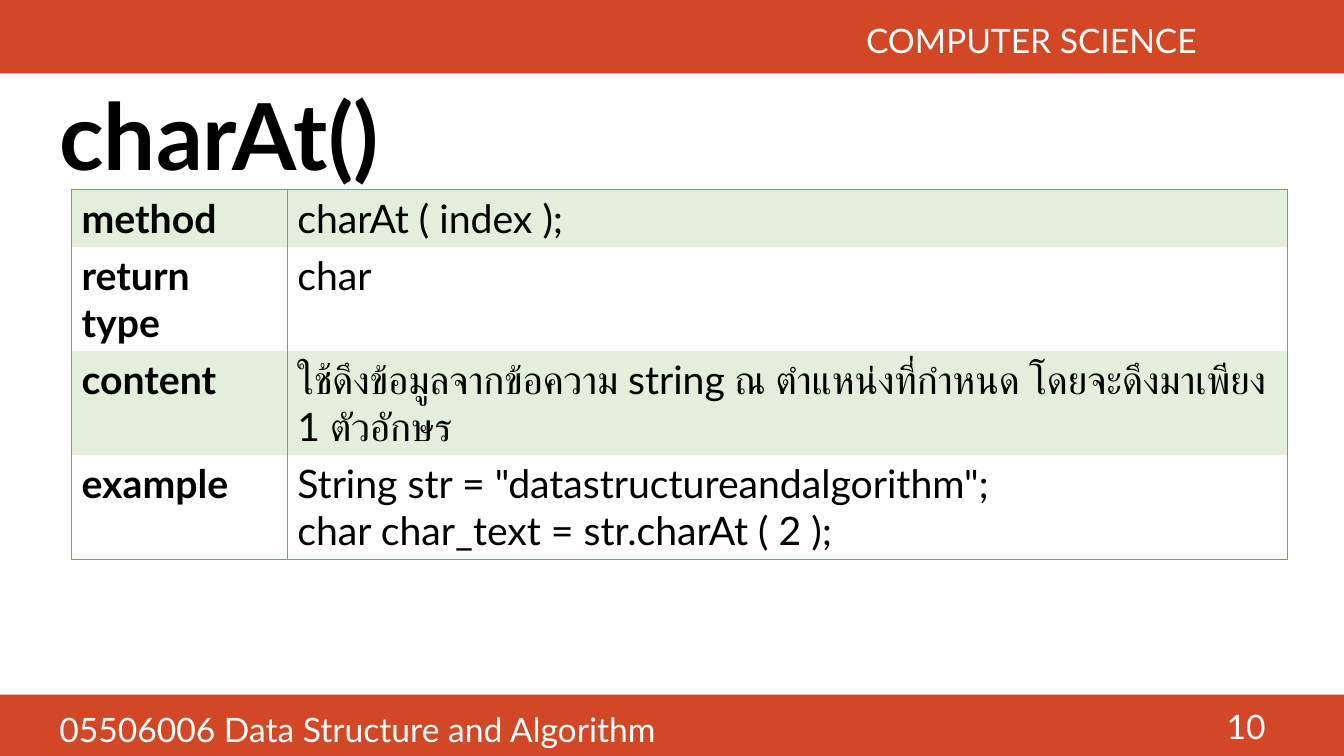
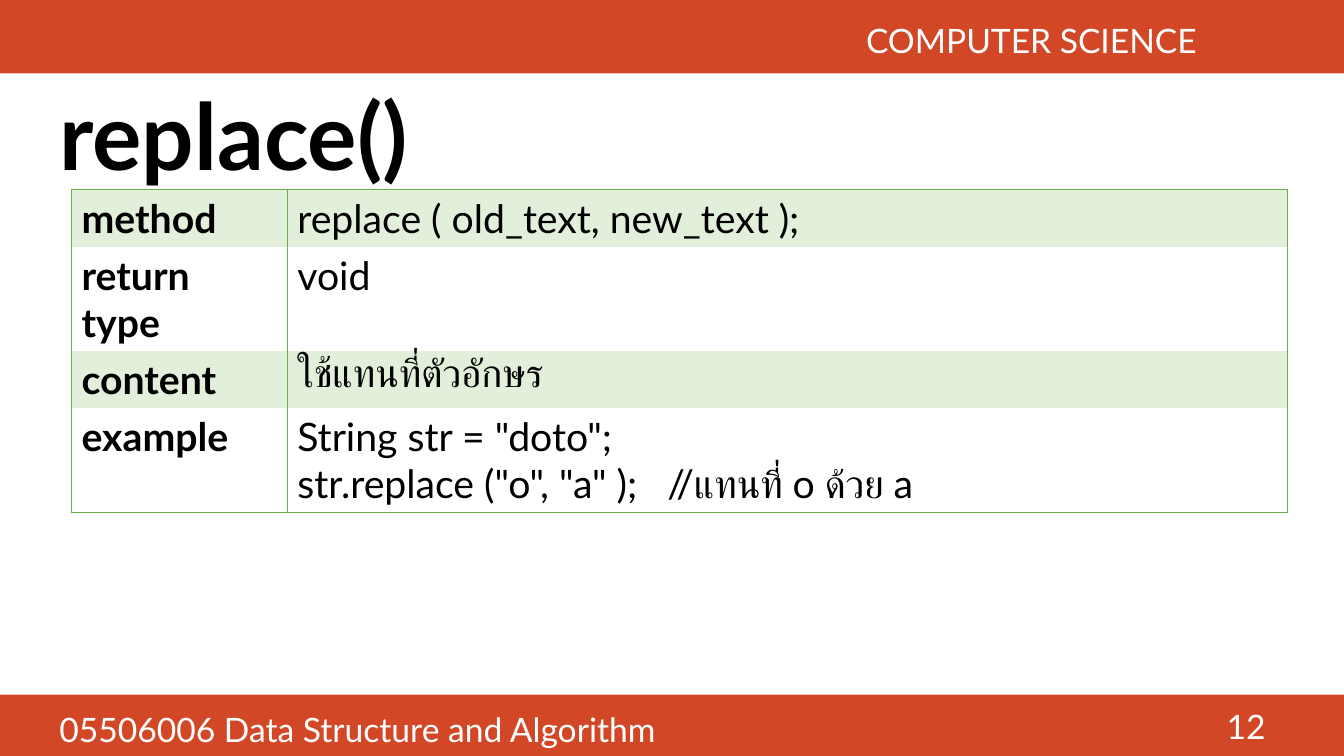
from lxml.etree import SubElement
from pptx import Presentation
from pptx.dml.color import RGBColor
from pptx.enum.shapes import MSO_SHAPE as Shape
from pptx.enum.text import MSO_ANCHOR as Anchor, PP_ALIGN as Align
from pptx.oxml.ns import qn
from pptx.util import Inches, Pt

# Content
HEADER = "COMPUTER SCIENCE"
FOOTER = "05506006 Data Structure and Algorithm"
LABELS = ["method", "return type", "content", "example"]
METHODS = [
    {
        "title": "charAt()",
        "number": "10",
        "details": [
            "charAt ( index );",
            "char",
            "ใช้ดึงข้อมูลจากข้อความ string ณ ตำแหน่งที่กำหนด โดยจะดึงมาเพียง 1 ตัวอักษร",
            'String str = "datastructureandalgorithm";\nchar char_text = str.charAt ( 2 );',
        ],
    },
    {
        "title": "replace()",
        "number": "12",
        "details": [
            "replace ( old_text, new_text );",
            "void",
            "ใช้แทนที่ตัวอักษร",
            'String str = "doto";\nstr.replace ("o", "a" );   //แทนที่ o ด้วย a',
        ],
    },
]

# Shared look
COLOURS = {"band": "D24726", "text": "000000", "band text": "FFFFFF",
           "border": "70AD47", "stripe": "E2EFDA"}
FONT = "Lato"
NO_STYLE = "{2D5ABB26-0587-4C30-8999-92F81FD0307C}"

# Layout, in inches
WIDTH, HEIGHT = 13.33, 7.5
HEADER_HEIGHT, FOOTER_HEIGHT = 0.73, 0.61
MARGIN = 0.49
TABLE_LEFT, TABLE_TOP = 0.71, 1.88
COLUMNS, ROW_HEIGHT = [2.14, 9.92], 0.41


def colour(name):
    return RGBColor.from_string(COLOURS[name])


def write(frame, text, size=24, color="band text", bold=False,
          align=Align.LEFT, anchor=Anchor.TOP, spacing=1.0):
    """Fill a text frame, one paragraph for each line of the text."""
    frame.word_wrap = True
    frame.vertical_anchor = anchor
    for index, line in enumerate(text.split("\n")):
        paragraph = frame.add_paragraph() if index else frame.paragraphs[0]
        paragraph.alignment = align
        paragraph.line_spacing = spacing
        run = paragraph.add_run()
        run.text = line
        run.font.name = FONT
        run.font.size = Pt(size)
        run.font.bold = bold
        run.font.color.rgb = colour(color)


def add_text(slide, box, text, **style):
    shape = slide.shapes.add_textbox(*map(Inches, box))
    write(shape.text_frame, text, **style)


def add_band(slide, top, height):
    band = slide.shapes.add_shape(Shape.RECTANGLE, *map(Inches, (0, top, WIDTH, height)))
    band.shadow.inherit = False
    band.fill.solid()
    band.fill.fore_color.rgb = colour("band")
    band.line.fill.background()


def set_borders(cell, sides):
    """Draw the named sides (L, R, T, B) and leave the others empty."""
    properties = cell._tc.get_or_add_tcPr()
    for side in "LRTB":
        line = SubElement(properties, qn(f"a:ln{side}"), w=str(Pt(1)))
        if side in sides:
            fill = SubElement(line, qn("a:solidFill"))
            SubElement(fill, qn("a:srgbClr"), val=COLOURS["border"])
        else:
            SubElement(line, qn("a:noFill"))


def add_method_table(slide, details):
    rows = list(zip(LABELS, details))
    frame = slide.shapes.add_table(
        len(rows), len(COLUMNS),
        *map(Inches, (TABLE_LEFT, TABLE_TOP, sum(COLUMNS), ROW_HEIGHT * len(rows))))
    table = frame.table
    table.first_row = table.horz_banding = False
    table._tbl.tblPr.find(qn("a:tableStyleId")).text = NO_STYLE
    for column, width in zip(table.columns, COLUMNS):
        column.width = Inches(width)
    for row, texts in enumerate(rows):
        sides = "LR" + ("T" if row == 0 else "") + ("B" if row == len(rows) - 1 else "")
        for column, text in enumerate(texts):
            cell = table.cell(row, column)
            write(cell.text_frame, text, size=28, color="text", bold=column == 0)
            set_borders(cell, sides)
            if row % 2 == 0:
                cell.fill.solid()
                cell.fill.fore_color.rgb = colour("stripe")
            else:
                cell.fill.background()


def add_frame(slide, title, number):
    """Title, bands and footer, the same on every slide."""
    add_text(slide, (MARGIN, 0.76, 12.28, 1.27), title, size=66, color="text",
             bold=True, anchor=Anchor.MIDDLE, spacing=0.9)
    add_band(slide, HEIGHT - FOOTER_HEIGHT, FOOTER_HEIGHT)
    add_band(slide, 0, HEADER_HEIGHT)
    add_text(slide, (0, 0.15, 11.97, 0.54), HEADER, align=Align.RIGHT)
    add_text(slide, (MARGIN, 6.98, 11.48, 0.66), FOOTER)
    add_text(slide, (9.65, 7, 3, 0.4), number, align=Align.RIGHT, anchor=Anchor.MIDDLE)


# Build the slides
presentation = Presentation()
presentation.slide_width, presentation.slide_height = Inches(WIDTH), Inches(HEIGHT)
blank = presentation.slide_layouts[6]
for method in METHODS:
    slide = presentation.slides.add_slide(blank)
    add_frame(slide, method["title"], method["number"])
    add_method_table(slide, method["details"])
presentation.save("out.pptx")
